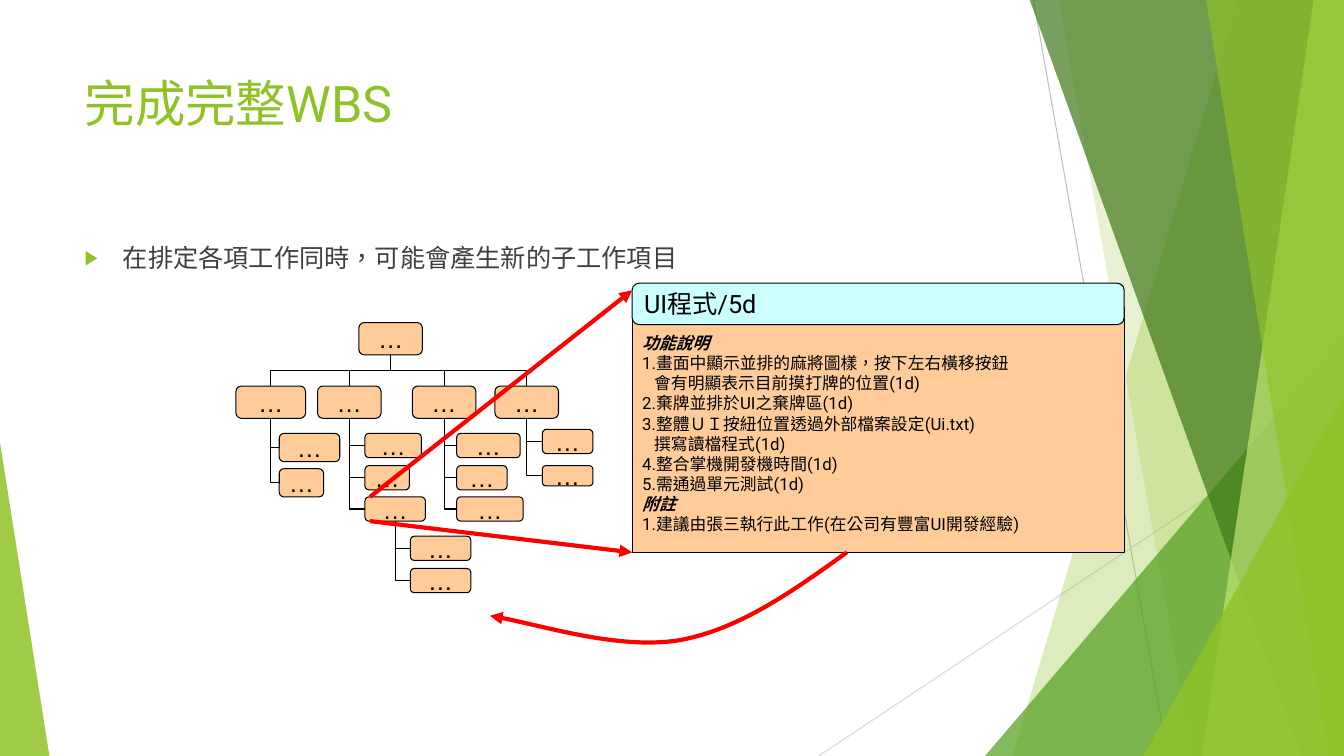
from dataclasses import dataclass
from itertools import islice

from lxml.etree import SubElement
from pptx import Presentation
from pptx.dml.color import RGBColor
from pptx.enum.lang import MSO_LANGUAGE_ID as Language
from pptx.enum.shapes import MSO_CONNECTOR as Connector, MSO_SHAPE as Preset
from pptx.enum.text import MSO_ANCHOR as Anchor, MSO_AUTO_SIZE as AutoSize, PP_ALIGN as Align
from pptx.oxml.ns import qn
from pptx.util import Inches, Pt

WIDTH, HEIGHT = 13.33, 7.5
FACET_TOP = -0.01
GREEN, PEACH, CYAN = "90C226", "FFCC99", "CCFFFF"
BLACK, RED, GREY = "000000", "FF0000", "404040"


@dataclass(frozen=True)
class Facet:
    """A band that reaches the right edge, with its left side slanted."""
    top_x: float
    bottom_x: float
    color: str
    opacity: int


@dataclass(frozen=True)
class Triangle:
    left: float
    top: float
    width: float
    apex: float
    color: str
    opacity: int


@dataclass(frozen=True)
class Task:
    left: float
    top: float
    width: float
    height: float
    children: tuple["Task", ...] = ()


@dataclass(frozen=True)
class Detail:
    text: str
    heading: bool = False
    indent: float = 0


DECORATION = (
    Facet(12.28, 10.04, GREEN, 30),
    Facet(10.5, 11.83, GREEN, 20),
    Triangle(9.77, 3.33, 3.56, 1, "54A021", 72),
    Facet(10.21, 12.91, "3F7819", 70),
    Facet(13.03, 11.92, "C0E474", 70),
    Facet(11.96, 13.18, GREEN, 65),
    Triangle(11.34, 3.93, 1.99, 1, GREEN, 80),
    Triangle(0, 4.39, 0.49, 0, GREEN, 85),
)

WBS = Task(3.56, 3.2, 0.63, 0.32, (
    Task(2.34, 3.83, 0.69, 0.32, (
        Task(2.77, 4.3, 0.6, 0.28), Task(2.77, 4.65, 0.44, 0.28))),
    Task(3.15, 3.83, 0.63, 0.32, (
        Task(3.62, 4.3, 0.56, 0.24), Task(3.62, 4.62, 0.44, 0.24),
        Task(3.62, 4.93, 0.6, 0.24, (
            Task(4.07, 5.32, 0.6, 0.24), Task(4.07, 5.64, 0.6, 0.24))))),
    Task(4.09, 3.83, 0.63, 0.32, (
        Task(4.53, 4.3, 0.63, 0.24), Task(4.53, 4.62, 0.5, 0.24),
        Task(4.53, 4.93, 0.66, 0.24))),
    Task(4.91, 3.83, 0.63, 0.32, (
        Task(5.38, 4.26, 0.5, 0.24), Task(5.38, 4.62, 0.5, 0.2))),
))

DETAILS = (
    Detail("功能說明", heading=True),
    Detail("1.畫面中顯示並排的麻將圖樣，按下左右橫移按鈕"),
    Detail("會有明顯表示目前摸打牌的位置(1d)", indent=0.12),
    Detail("2.棄牌並排於UI之棄牌區(1d)"),
    Detail("3.整體ＵＩ按紐位置透過外部檔案設定(Ui.txt)"),
    Detail("撰寫讀檔程式(1d)", indent=0.12),
    Detail("4.整合掌機開發機時間(1d)"),
    Detail("5.需通過單元測試(1d)"),
    Detail("附註", heading=True),
    Detail("1.建議由張三執行此工作(在公司有豐富UI開發經驗)"),
)

# Start point, then two control points and an end point for each curve
RETURN_ARROW = ((8.4, 5.48), (7.87, 5.86), (7.34, 6.24), (6.75, 6.35),
                (6.16, 6.45), (5.3, 6.18), (4.86, 6.11))


def rgb(color: str) -> RGBColor:
    return RGBColor.from_string(color)


def add_run(paragraph, text: str, size: float, color: str, font="Roboto", emphasis=False):
    run = paragraph.add_run()
    run.text = text
    run.font.name, run.font.size = font, Pt(size)
    run.font.bold = run.font.italic = emphasis
    run.font.color.rgb = rgb(color)
    return run


def add_chinese_run(paragraph, text: str, size: float, color: str, emphasis=False) -> None:
    run = add_run(paragraph, text, size, color, emphasis=emphasis)
    run.font.language_id = Language.TAIWAN if hasattr(Language, "TAIWAN") else Language.TRADITIONAL_CHINESE


def set_line(shape, color: str, width: float, arrow=False) -> None:
    shape.line.color.rgb = rgb(color)
    shape.line.width = Pt(width)
    if arrow:
        line = shape.element.spPr.find(qn("a:ln"))
        SubElement(line, qn("a:tailEnd"), type="triangle")


def add_line(shapes, kind, start, end, color: str, width: float, arrow=False):
    connector = shapes.add_connector(kind, *map(Inches, (*start, *end)))
    set_line(connector, color, width, arrow)
    SubElement(connector.element.spPr, qn("a:effectLst"))
    return connector


def add_box(shapes, preset, left, top, width, height, fill: str):
    box = shapes.add_shape(preset, *map(Inches, (left, top, width, height)))
    box.shadow.inherit = False
    box.fill.solid()
    box.fill.fore_color.rgb = rgb(fill)
    set_line(box, BLACK, 0.75)
    return box


def add_outline(shapes, points, close: bool):
    builder = shapes.build_freeform(*map(Inches, points[0]))
    builder.add_line_segments([tuple(map(Inches, point)) for point in points[1:]], close=close)
    shape = builder.convert_to_shape()
    shape.shadow.inherit = False
    return shape


def add_decoration(shapes, item: Facet | Triangle) -> None:
    if isinstance(item, Facet):
        corners = ((item.top_x, FACET_TOP), (WIDTH, FACET_TOP), (WIDTH, HEIGHT), (item.bottom_x, HEIGHT))
        shape = add_outline(shapes, corners, close=True)
    else:
        shape = shapes.add_shape(Preset.ISOSCELES_TRIANGLE, *map(
            Inches, (item.left, item.top, item.width, HEIGHT - item.top)))
        shape.adjustments[0] = item.apex
        shape.shadow.inherit = False
    shape.fill.solid()
    shape.fill.fore_color.rgb = rgb(item.color)
    color = shape.element.spPr.find(f"{qn('a:solidFill')}/{qn('a:srgbClr')}")
    SubElement(color, qn("a:alpha"), val=str(item.opacity * 1000))
    shape.line.fill.background()


def add_branch(shapes, parent: Task, child: Task, hanging: bool) -> None:
    """Elbow from the parent's bottom to the child's left side (hanging) or top."""
    x, y = parent.left + parent.width / 2, parent.top + parent.height
    end_x = child.left if hanging else child.left + child.width / 2
    end_y = child.top + child.height / 2 if hanging else child.top
    # The elbow is turned a quarter, so its length runs downwards
    length, breadth = end_y - y, abs(end_x - x)
    left, top = (x + end_x - length) / 2, (y + end_y - breadth) / 2
    elbow = add_line(shapes, Connector.ELBOW, (left, top), (left + length, top + breadth), BLACK, 0.75)
    properties = elbow.element.spPr
    frame = properties.find(qn("a:xfrm"))
    frame.set("rot", str((90 if end_x < x else 270) * 60000))
    if end_x >= x:
        frame.set("flipH", "1")
    if hanging:
        properties.find(qn("a:prstGeom")).set("prst", "bentConnector2")


def add_task(shapes, task: Task, hanging=False) -> None:
    box = add_box(shapes, Preset.ROUNDED_RECTANGLE, task.left, task.top, task.width, task.height, PEACH)
    frame = box.text_frame
    frame.word_wrap, frame.vertical_anchor = False, Anchor.MIDDLE
    frame.paragraphs[0].alignment = Align.CENTER
    add_run(frame.paragraphs[0], "…", 18, BLACK, "Arial")
    for child in task.children:
        add_task(shapes, child, hanging=True)
        add_branch(shapes, task, child, hanging)


def add_card(shapes) -> None:
    frame = add_box(shapes, Preset.RECTANGLE, 6.27, 3.05, 4.88, 2.43, PEACH).text_frame
    frame.word_wrap, frame.vertical_anchor = True, Anchor.TOP
    frame.margin_top = Inches(0.25)
    for index, detail in enumerate(DETAILS):
        paragraph = frame.add_paragraph() if index else frame.paragraphs[0]
        paragraph.alignment = Align.LEFT
        if detail.indent:
            paragraph._p.get_or_add_pPr().set("marL", str(Inches(detail.indent)))
        add_chinese_run(paragraph, detail.text, 12, BLACK, detail.heading)
    header = add_box(shapes, Preset.ROUNDED_RECTANGLE, 6.27, 2.81, 4.88, 0.41, CYAN).text_frame
    header.word_wrap, header.vertical_anchor = True, Anchor.MIDDLE
    header.paragraphs[0].alignment = Align.LEFT
    add_chinese_run(header.paragraphs[0], "UI程式/5d", 18, BLACK)


def add_bullet_text(shapes) -> None:
    frame = shapes.add_textbox(*map(Inches, (0.74, 2.36, 9.4, 4.24))).text_frame
    frame.word_wrap = True
    paragraph = frame.paragraphs[0]
    properties = paragraph._p.get_or_add_pPr()
    properties.set("marL", str(Inches(0.38)))
    properties.set("indent", str(-Inches(0.38)))
    SubElement(SubElement(properties, qn("a:buClr")), qn("a:srgbClr"), val=GREEN)
    SubElement(properties, qn("a:buSzPct"), val="80000")
    SubElement(properties, qn("a:buFont"), typeface="Arial")
    SubElement(properties, qn("a:buChar"), char="▶")
    add_chinese_run(paragraph, "在排定各項工作同時，可能會產生新的子工作項目", 18, GREY)


def add_return_arrow(shapes) -> None:
    arrow = add_outline(shapes, RETURN_ARROW, close=False)
    arrow.fill.background()
    set_line(arrow, RED, 3, arrow=True)
    segments = iter(list(arrow.element.iter(qn("a:lnTo"))))
    while triple := list(islice(segments, 3)):
        curve = SubElement(triple[0].getparent(), qn("a:cubicBezTo"))
        for segment in triple:
            curve.append(segment[0])
            segment.getparent().remove(segment)


def main() -> None:
    presentation = Presentation()
    presentation.slide_width, presentation.slide_height = Inches(WIDTH), Inches(HEIGHT)
    slide = presentation.slides.add_slide(presentation.slide_layouts[5])
    shapes = slide.shapes

    title = shapes.title
    title.left, title.top, title.width, title.height = map(Inches, (0.74, 0.67, 9.4, 1.44))
    title.text_frame.auto_size, title.text_frame.vertical_anchor = AutoSize.NONE, Anchor.TOP
    title.text_frame.paragraphs[0].alignment = Align.LEFT
    add_chinese_run(title.text_frame.paragraphs[0], "完成完整WBS", 36, GREEN)

    add_line(shapes, Connector.STRAIGHT, (10.25, 0), (11.58, HEIGHT), "BFBFBF", 0.75)
    add_line(shapes, Connector.STRAIGHT, (WIDTH, 4.03), (8.12, HEIGHT), "D9D9D9", 0.75)
    for item in DECORATION:
        add_decoration(shapes, item)
    add_bullet_text(shapes)
    add_card(shapes.add_group_shape().shapes)
    add_task(shapes.add_group_shape().shapes, WBS)
    for start, end in (((3.67, 4.93), (6.27, 2.88)), ((3.67, 5.17), (6.27, 5.48))):
        add_line(shapes, Connector.STRAIGHT, start, end, RED, 3, arrow=True)
    add_return_arrow(shapes)
    presentation.save("out.pptx")


if __name__ == "__main__":
    main()
